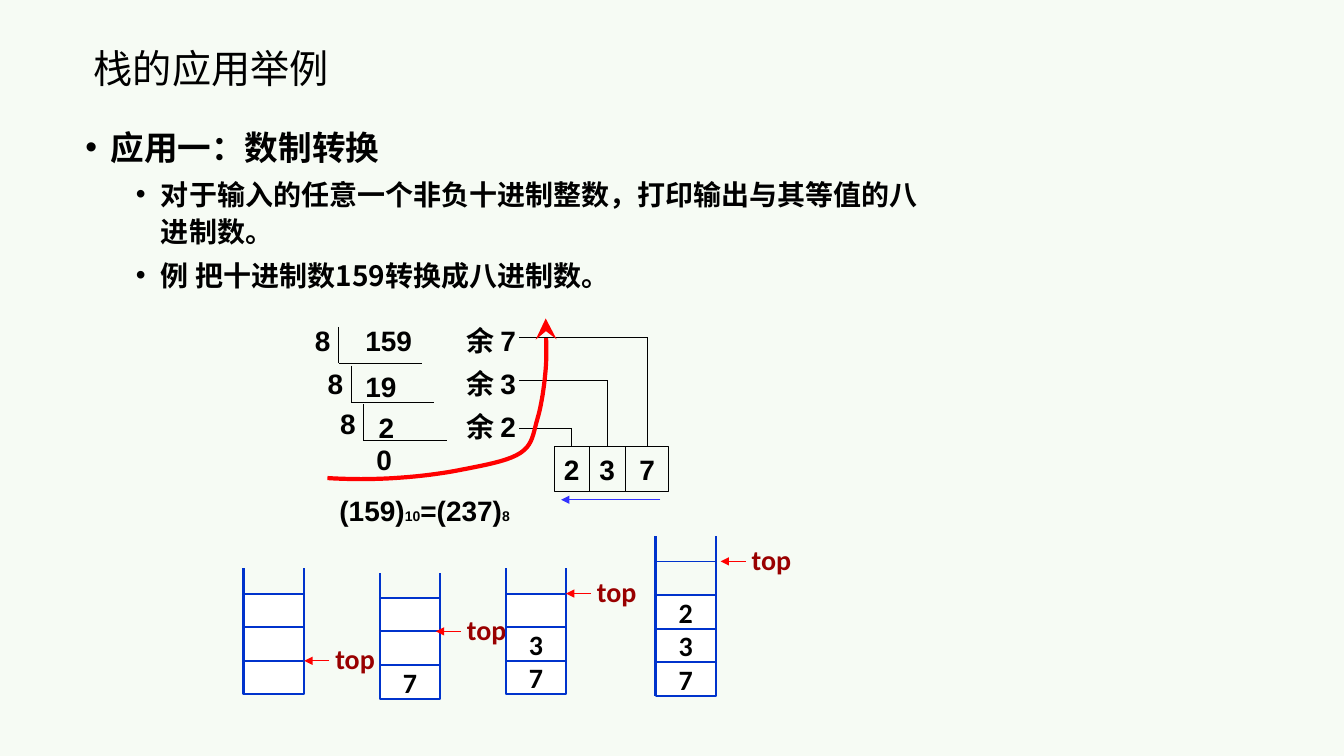
import dataclasses

import lxml.etree
import pptx
import pptx.dml.color
import pptx.enum.shapes
import pptx.enum.text
import pptx.oxml.ns
import pptx.util

Pt = pptx.util.Pt
qn = pptx.oxml.ns.qn
ALIGN = pptx.enum.text.PP_ALIGN
MID = pptx.enum.text.MSO_ANCHOR.MIDDLE
RECT = pptx.enum.shapes.MSO_SHAPE.RECTANGLE
LINE = pptx.enum.shapes.MSO_CONNECTOR.STRAIGHT


@dataclasses.dataclass(frozen=True)
class Theme:
    back: str = "F6FBF4"
    ink: str = "000000"
    white: str = "FFFFFF"
    blue: str = "0033CC"
    shift: str = "3333FF"
    red: str = "FF0000"
    dark: str = "990000"
    cjk: str = "Noto Sans CJK SC"
    sans: str = "Arial"
    label: str = "Calibri"
    title: int = 28
    head: int = 24
    body: int = 20
    sub: int = 10
    thin: float = 0.75
    wall: float = 1.5
    sweep: float = 3


T = Theme()


def rgb(code):
    return pptx.dml.color.RGBColor.from_string(code)


# Basic parts
def style(para, size, face, color=T.ink, bold=True):
    font = para.font
    font.size, font.name, font.bold = Pt(size), face, bold
    font.color.rgb = rgb(color)
    props = para._p.pPr.find(qn("a:defRPr"))
    lxml.etree.SubElement(props, qn("a:ea")).set("typeface", T.cjk)


def frame(slide, x, y, w, h, wrap=False):
    box = slide.shapes.add_textbox(Pt(x), Pt(y), Pt(w), Pt(h))
    box.text_frame.word_wrap = wrap
    return box.text_frame


def word(slide, x, y, text, w, face=T.sans, color=T.ink, align=ALIGN.LEFT):
    para = frame(slide, x, y, w, 32).paragraphs[0]
    para.text, para.alignment = text, align
    style(para, T.body, face, color)


def number(slide, x, y, text):
    word(slide, x, y, text, 14.4 + 11.1 * len(text))


def arrow(line, kind, size="med"):
    tip = lxml.etree.SubElement(line._get_or_add_ln(), qn("a:tailEnd"))
    for key, value in [("type", kind), ("w", size), ("len", size)]:
        tip.set(key, value)


def rule(slide, x1, y1, x2, y2, color=T.ink, width=T.thin, tip=False):
    line = slide.shapes.add_connector(LINE, Pt(x1), Pt(y1), Pt(x2), Pt(y2))
    line.line.color.rgb, line.line.width = rgb(color), Pt(width)
    if tip:
        arrow(line.line, "triangle")
    lxml.etree.SubElement(line._element.spPr, qn("a:effectLst"))
    return line


def cell(slide, x, y, w, h, text, face, color, width, fill=None):
    box = slide.shapes.add_shape(RECT, Pt(x), Pt(y), Pt(w), Pt(h))
    box.shadow.inherit = False
    if fill:
        box.fill.solid()
        box.fill.fore_color.rgb = rgb(fill)
    else:
        box.fill.background()
    box.line.color.rgb, box.line.width = rgb(color), Pt(width)
    if text:
        body = box.text_frame
        body.margin_left = body.margin_right = body.margin_top = body.margin_bottom = 0
        body.vertical_anchor = MID
        para = body.paragraphs[0]
        para.text, para.alignment = text, ALIGN.CENTER
        style(para, T.body, face)
    return box


# Title and bullets
def title(slide, x, y, w, h):
    body = frame(slide, x, y, w, h, True)
    body.vertical_anchor = MID
    para = body.paragraphs[0]
    para.text, para.line_spacing = "栈的应用举例", 0.9
    style(para, T.title, T.cjk, bold=False)


def points(slide, x, y, w, h):
    body = frame(slide, x, y, w, h, True)
    items = [
        (0, "应用一：数制转换"),
        (1, "对于输入的任意一个非负十进制整数，打印输出与其等值的八进制数。"),
        (1, "例 把十进制数159转换成八进制数。"),
    ]
    for i, (level, text) in enumerate(items):
        para = body.add_paragraph() if i else body.paragraphs[0]
        para.text, para.level, para.line_spacing = text, level, 1.1
        para.space_before = Pt(5 if i else 0)
        props = para._p.get_or_add_pPr()
        props.set("marL", str(Pt(18 + 36 * level)))
        props.set("indent", str(Pt(-18)))
        lxml.etree.SubElement(props, qn("a:buFont")).set("typeface", T.sans)
        lxml.etree.SubElement(props, qn("a:buChar")).set("char", "•")
        style(para, T.body if level else T.head, T.cjk)


# Repeated division by 8, with the remainders led to the result
def divide(slide, x, y):
    rows = [(0, 0, 36, 0, "159"), (9, 31, 36, 33, "19"), (18, 59.5, 45.5, 62, "2")]
    for i, (dx, dy, nx, ny, text) in enumerate(rows):
        left, top = x + 24 + 9 * i, y + 6 + 27.7 * i
        rule(slide, left, top, left, top + 26)
        rule(slide, left, top + 26, left + 59.5, top + 26)
        number(slide, x + dx, y + dy, "8")
        number(slide, x + nx, y + ny, text)
    number(slide, x + 44, y + 85, "0")

    # Result cells, from left to right
    cells = []
    for dx, w, digit in [(178, 25, "2"), (203, 26, "3"), (229, 31, "7")]:
        cells.append((x + dx + w / 2, cell(
            slide, x + dx, y + 91.5, w, 32, digit, T.sans, T.ink, T.thin)))
    rule(slide, x + 254, y + 129.5, x + 183, y + 129.5, T.shift, tip=True)

    # Remainders
    drops = [13.5, 44, 78.5]
    for i, (digit, drop, (mid, box)) in enumerate(zip("732", drops, reversed(cells))):
        word(slide, x + 108, y + 30.6 * i, "余 " + digit, 55)
        rule(slide, x + 153, y + drop, mid, y + drop)
        rule(slide, mid, y + drop, mid, y + 91.5).end_connect(box, 0)

    # Equation, in a box wide enough for one line
    para = frame(slide, x + 17.5, y + 121.5, 160, 32, True).paragraphs[0]
    for text, size in [("(159)", T.body), ("10", T.sub), ("=(237)", T.body), ("8", T.sub)]:
        run = para.add_run()
        run.text, run.font.size = text, Pt(size)
    style(para, T.body, T.sans)
    sweep(slide, x + 16, y)


# Reading order of the remainders, a chain of Bezier arcs
def sweep(slide, x, y):
    knots = [(0, 114), (16, 115), (32, 115), (48, 114), (64, 113), (81, 111),
             (96, 108), (111, 105), (129, 102), (138, 96), (147, 90), (147, 82),
             (150, 72), (153, 62), (155, 48), (156, 36), (157, 24), (156, 12), (156, 0)]
    spots = []
    for k in range(0, len(knots) - 1, 3):
        for t in (n / 10 for n in range(1, 11)):
            parts = ((1 - t) ** 3, 3 * t * (1 - t) ** 2, 3 * t * t * (1 - t), t ** 3)
            dx, dy = (sum(p * q[a] for p, q in zip(parts, knots[k:k + 4])) for a in (0, 1))
            spots.append((Pt(x + dx), Pt(y + dy)))
    pen = slide.shapes.build_freeform(Pt(x), Pt(y + knots[0][1]))
    pen.add_line_segments(spots, close=False)
    curve = pen.convert_to_shape()
    curve.shadow.inherit = False
    curve.fill.background()
    curve.line.color.rgb, curve.line.width = rgb(T.red), Pt(T.sweep)
    arrow(curve.line, "stealth", "lg")


# One stack: open walls, three cells, a pointer above the last digit
def stack(slide, x, base, high, digits, gap):
    wide, step = 43, 24
    for side in (x, x + wide):
        rule(slide, side, base, side, base - high, T.blue, T.wall)
    for i in range(3):
        cell(slide, x, base - step * (i + 1), wide, step, digits[i:i + 1],
             T.label, T.blue, T.wall, T.white)
    top = base - step * (len(digits) + 1)
    if len(digits) == 3:
        rule(slide, x, top, x + wide, top, T.blue)
    tip = x + gap
    rule(slide, tip + 18, top, tip, top, T.red, tip=True)
    word(slide, tip + 15, top - 17, "top", 42.5, T.label, T.dark, ALIGN.CENTER)


def main():
    deck = pptx.Presentation()
    deck.slide_width, deck.slide_height = Pt(960.48), Pt(540)
    slide = deck.slides.add_slide(deck.slide_layouts[6])
    slide.background.fill.solid()
    slide.background.fill.fore_color.rgb = rgb(T.back)
    points(slide, 54, 84, 612, 138)
    title(slide, 60, 30, 613, 41)
    for spot in [(174, 496, 90, "", 43.5), (271.5, 499, 90, "7", 40),
                 (361.5, 496, 90, "73", 43), (468.5, 497, 114, "732", 46.5)]:
        stack(slide, *spot)
    divide(slide, 218, 227.5)
    deck.save("out.pptx")


if __name__ == "__main__":
    main()
